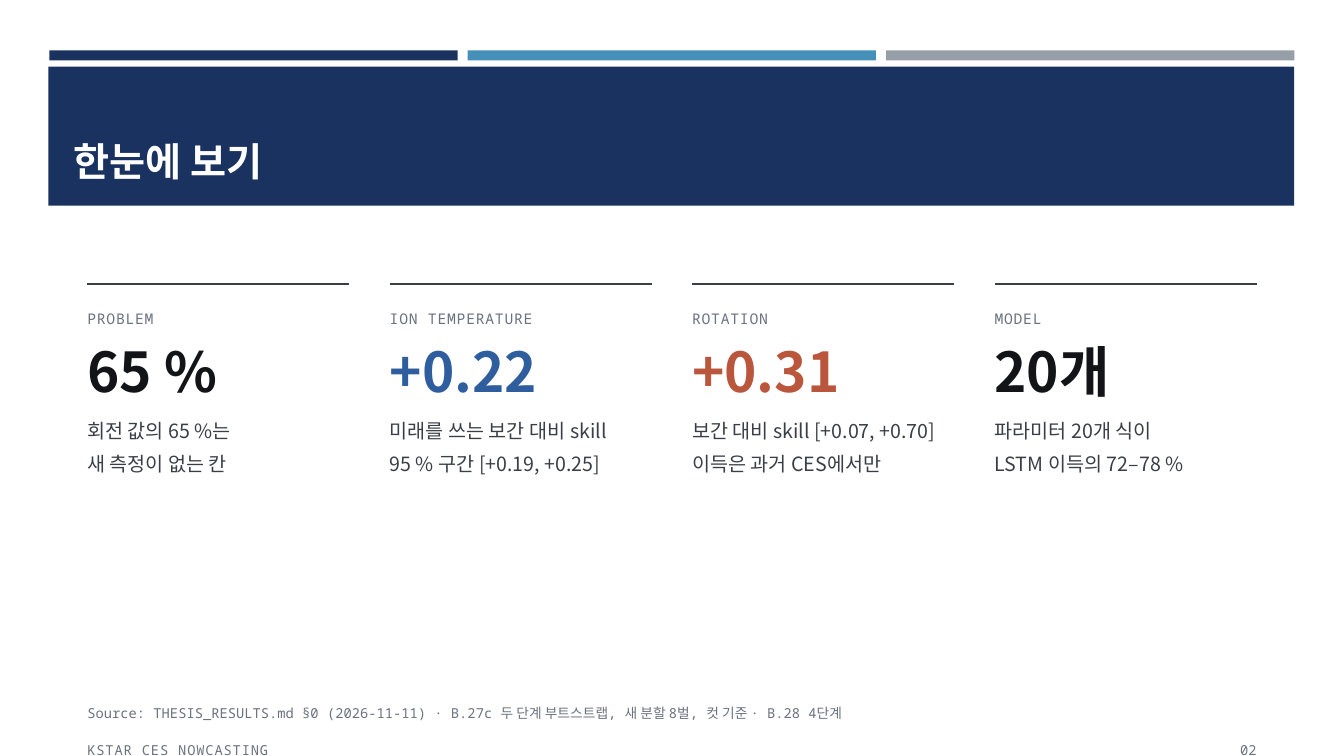
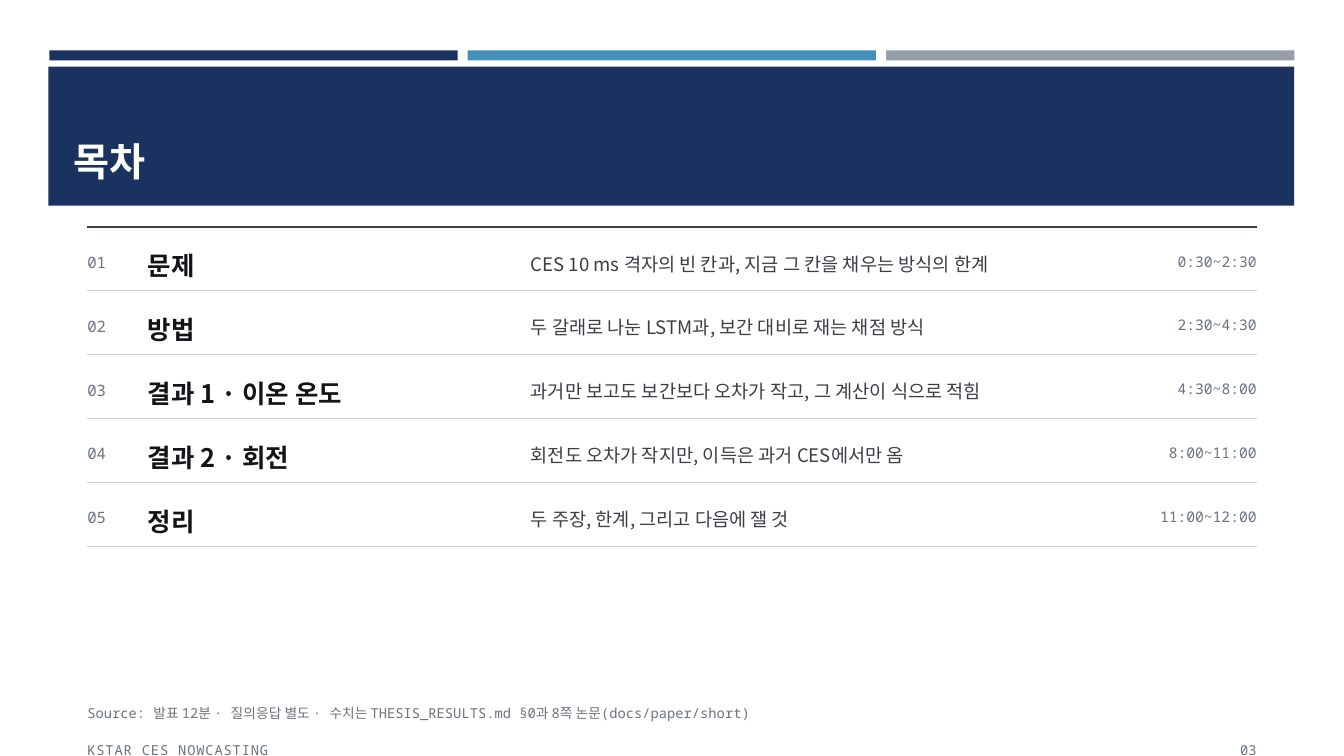
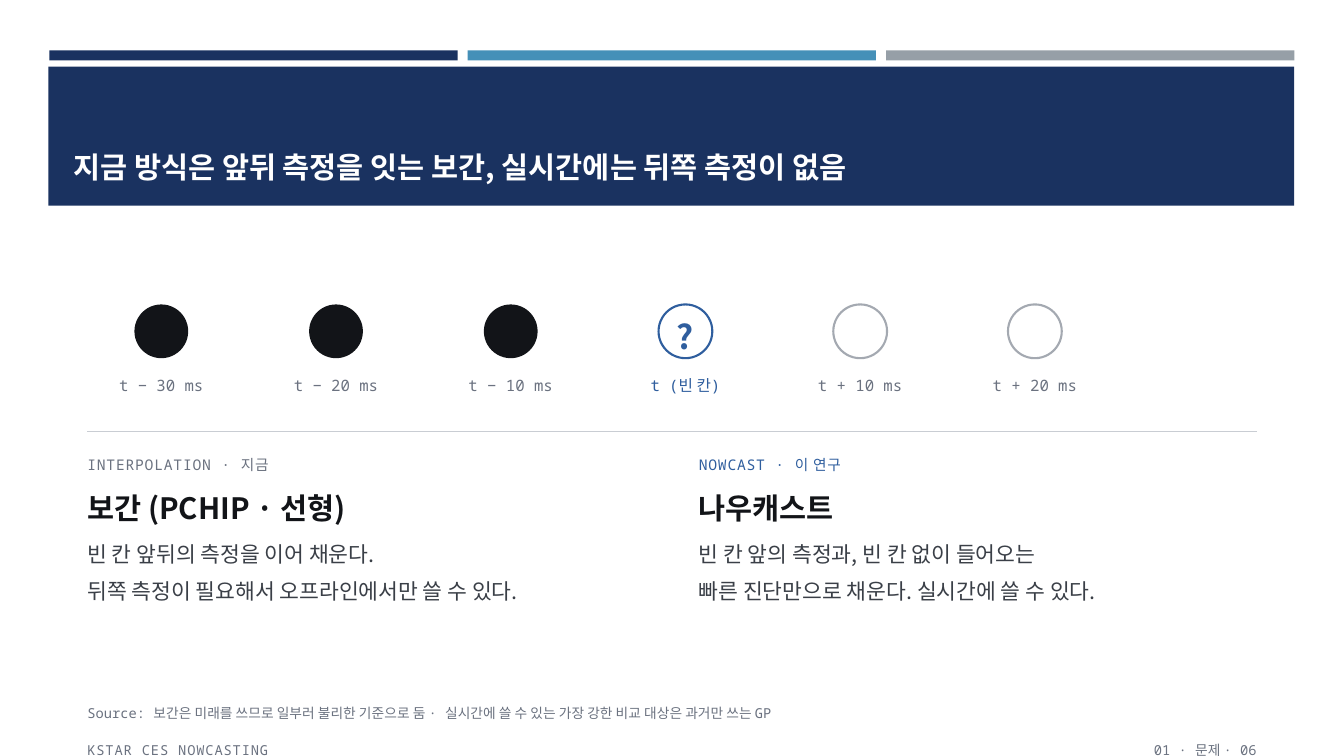
from collections import namedtuple

from lxml import etree
from pptx import Presentation
from pptx.dml.color import RGBColor
from pptx.enum.shapes import MSO_CONNECTOR, MSO_SHAPE
from pptx.enum.text import MSO_ANCHOR, MSO_AUTO_SIZE, PP_ALIGN
from pptx.oxml.ns import qn
from pptx.util import Inches, Pt

RECTANGLE, ELLIPSE = MSO_SHAPE.RECTANGLE, MSO_SHAPE.OVAL
STRAIGHT = MSO_CONNECTOR.STRAIGHT
LEFT, CENTER, RIGHT = PP_ALIGN.LEFT, PP_ALIGN.CENTER, PP_ALIGN.RIGHT
TOP, MIDDLE, BOTTOM = MSO_ANCHOR.TOP, MSO_ANCHOR.MIDDLE, MSO_ANCHOR.BOTTOM
NO_AUTOFIT = MSO_AUTO_SIZE.NONE

NAVY = RGBColor(0x1A, 0x32, 0x60)
SKY = RGBColor(0x45, 0x90, 0xB8)
SILVER = RGBColor(0x96, 0x9F, 0xA7)
WHITE = RGBColor(0xFF, 0xFF, 0xFF)
INK = RGBColor(0x12, 0x14, 0x18)
SLATE = RGBColor(0x3A, 0x3F, 0x47)
MUTED = RGBColor(0x6B, 0x72, 0x80)
RULE = RGBColor(0xC9, 0xCD, 0xD3)
OUTLINE = RGBColor(0xA4, 0xA9, 0xB1)
BLUE = RGBColor(0x2F, 0x5E, 0x9E)
RUST = RGBColor(0xB9, 0x56, 0x3C)

SANS, MONO = "Noto Sans CJK KR", "Noto Sans Mono"
WIDTH, HEIGHT = 13.333, 7.5
MARGIN = WIDTH * 0.065
CONTENT_WIDTH = WIDTH - 2 * MARGIN

Box = namedtuple("Box", "left top width height")
Style = namedtuple("Style", "font size color bold line_spacing tracking",
                   defaults=(False, 1.25, 0))

TITLE = Style(SANS, 28, WHITE, True, None)
LONG_TITLE = TITLE._replace(size=21)
EYEBROW = Style(MONO, 10.5, MUTED, tracking=0.6)
FIGURE = Style(SANS, 39.2, INK, True, None)
FIGURE_NOTE = Style(SANS, 14, SLATE, line_spacing=1.4)
FOOTNOTE = Style(MONO, 9.8, MUTED)
RUNNING_HEAD = FOOTNOTE._replace(tracking=0.6)
LABEL = Style(MONO, 11.2, MUTED)
SECTION = Style(SANS, 18.2, INK, True)
SUMMARY = Style(SANS, 13.3, SLATE)
CLOCK = Style(MONO, 10.5, MUTED)
QUESTION = Style(SANS, 23.8, BLUE, True)
METHOD = Style(SANS, 21, INK, True)
METHOD_NOTE = Style(SANS, 15.4, SLATE, line_spacing=1.45)


def set_attributes(target, values):
    for name, value in values.items():
        setattr(target, name, value)


def inches(box):
    return [Inches(length) for length in box]


def write_lines(text_frame, lines, style, alignment):
    for index, line in enumerate(lines):
        paragraph = text_frame.paragraphs[0] if index == 0 else text_frame.add_paragraph()
        paragraph.alignment = alignment
        if style.line_spacing:
            paragraph.line_spacing = style.line_spacing
        run = paragraph.add_run()
        run.text = line
        set_attributes(run.font, {"name": style.font, "size": Pt(style.size),
                                  "bold": style.bold})
        run.font.color.rgb = style.color
        properties = run._r.get_or_add_rPr()
        etree.SubElement(properties, qn("a:ea")).set("typeface", SANS)
        if style.tracking:
            properties.set("spc", str(round(style.tracking * 100)))


def add_text(slide, box, text, style, alignment=LEFT, anchor=TOP):
    text_frame = slide.shapes.add_textbox(*inches(box)).text_frame
    set_attributes(text_frame, {
        "word_wrap": True, "vertical_anchor": anchor, "margin_left": 0,
        "margin_top": 0, "margin_right": 0, "margin_bottom": 0})
    write_lines(text_frame, text.split("\n"), style, alignment)


def add_shape(slide, kind, box, fill, line=None):
    shape = slide.shapes.add_shape(kind, *inches(box))
    shape.shadow.inherit = False
    shape.fill.solid()
    shape.fill.fore_color.rgb = fill
    if line is None:
        shape.line.fill.background()
    else:
        shape.line.color.rgb = line
        shape.line.width = Pt(1.5)
    return shape


def add_rule(slide, left, top, width, color=RULE, weight=1):
    rule = slide.shapes.add_connector(
        STRAIGHT, *inches((left, top, left + width, top)))
    rule.line.color.rgb = color
    rule.line.width = Pt(weight)
    etree.SubElement(rule._element.spPr, qn("a:effectLst"))


def add_bands_to_layout(slide, layout):
    band_width, gap = 4.05, 0.1
    bands = [(Box(0.49 + index * (band_width + gap), 0.5, band_width, 0.1), color)
             for index, color in enumerate((NAVY, SKY, SILVER))]
    bands.append((Box(0.48, 0.66, 12.36, 1.38), NAVY))
    for index, (box, color) in enumerate(bands):
        band = add_shape(slide, RECTANGLE, box, color)
        layout.shapes.element.insert(2 + index, band._element)


def add_titled_slide(presentation, layout, title, style, source, page):
    slide = presentation.slides.add_slide(layout)
    placeholder = slide.shapes.title
    set_attributes(placeholder, dict(zip(
        Box._fields, inches((0.63, 0.8, 12.06, 1.08)))))
    set_attributes(placeholder.text_frame, {
        "word_wrap": True, "auto_size": NO_AUTOFIT, "vertical_anchor": BOTTOM})
    write_lines(placeholder.text_frame, [title], style, LEFT)
    add_footer(slide, Box(MARGIN, 6.95, CONTENT_WIDTH, 0.57), source, page)
    return slide


def add_footer(slide, box, source, page):
    half = WIDTH * 0.4
    top = box.top + 0.37
    add_text(slide, box._replace(height=0.27), "Source: " + source, FOOTNOTE)
    add_text(slide, Box(box.left, top, half, 0.2), "KSTAR CES NOWCASTING", RUNNING_HEAD)
    add_text(slide, Box(box.left + box.width - half, top, half, 0.2), page,
             FOOTNOTE, RIGHT)


def add_figures(slide, box, figures):
    gap = 0.4
    width = (box.width + gap) / len(figures) - gap
    for index, (eyebrow, value, color, note) in enumerate(figures):
        left = box.left + index * (width + gap)
        add_rule(slide, left, box.top, width, SLATE, 1.25)
        parts = ((0.21, 0.23, eyebrow, EYEBROW),
                 (0.53, 0.87, value, FIGURE._replace(color=color)),
                 (1.24, 1.2, note, FIGURE_NOTE))
        for offset, height, text, style in parts:
            add_text(slide, Box(left, box.top + offset, width, height), text, style)


def add_agenda(slide, box, sections):
    row_height = box.height / len(sections)
    columns = ((0, 0.21, 0.53, 0.33, LABEL, LEFT),
               (0.6, 0.16, 3.73, 0.4, SECTION, LEFT),
               (4.4, 0.2, 5.73, 0.4, SUMMARY, LEFT),
               (box.width - 1.6, 0.21, 1.6, 0.33, CLOCK, RIGHT))
    add_rule(slide, box.left, box.top, box.width, SLATE, 1.25)
    for index, section in enumerate(sections):
        top = box.top + index * row_height
        cells = (f"{index + 1:02d}", *section)
        for text, (left, offset, width, height, style, alignment) in zip(cells, columns):
            add_text(slide, Box(box.left + left, top + offset, width, height),
                     text, style, alignment)
        add_rule(slide, box.left, top + row_height, box.width)


def add_timeline(slide, box, moments):
    pitch = box.width / len(moments)
    diameter, label_width = WIDTH * 0.04, WIDTH * 0.12
    for index, (label, fill, line, color, mark) in enumerate(moments):
        center = box.left + (index + 0.5) * pitch
        circle = Box(center - diameter / 2, box.top, diameter, diameter)
        add_shape(slide, ELLIPSE, circle, fill, line)
        if mark:
            add_text(slide, circle, mark, QUESTION, CENTER, MIDDLE)
        add_text(slide, Box(center - label_width / 2, box.top + 0.66, label_width, 0.33),
                 label, LABEL._replace(color=color), CENTER)


def add_comparison(slide, box, methods):
    gap = WIDTH * 0.04
    width = (box.width + gap) / len(methods) - gap
    add_rule(slide, box.left, box.top, box.width)
    for index, (eyebrow, color, name, note) in enumerate(methods):
        left = box.left + index * (width + gap)
        parts = ((0.2, 0.23, eyebrow, EYEBROW._replace(color=color)),
                 (0.5, 0.4, name, METHOD),
                 (0.97, 1.07, note, METHOD_NOTE))
        for offset, height, text, style in parts:
            add_text(slide, Box(left, box.top + offset, width, height), text, style)


def main():
    presentation = Presentation()
    presentation.slide_width = Inches(WIDTH)
    presentation.slide_height = Inches(HEIGHT)
    layout = presentation.slide_layouts[5]

    overview = add_titled_slide(
        presentation, layout, "한눈에 보기", TITLE,
        "THESIS_RESULTS.md §0 (2026-11-11) · B.27c 두 단계 부트스트랩, "
        "새 분할 8벌, 컷 기준 · B.28 4단계", "02")
    add_bands_to_layout(overview, layout)
    add_figures(overview, Box(MARGIN, 2.82, CONTENT_WIDTH, 2.44), (
        ("PROBLEM", "65 %", INK, "회전 값의 65 %는\n새 측정이 없는 칸"),
        ("ION TEMPERATURE", "+0.22", BLUE,
         "미래를 쓰는 보간 대비 skill\n95 % 구간 [+0.19, +0.25]"),
        ("ROTATION", "+0.31", RUST,
         "보간 대비 skill [+0.07, +0.70]\n이득은 과거 CES에서만"),
        ("MODEL", "20개", INK, "파라미터 20개 식이\nLSTM 이득의 72–78 %")))

    agenda = add_titled_slide(
        presentation, layout, "목차", TITLE,
        "발표 12분 · 질의응답 별도 · 수치는 THESIS_RESULTS.md §0과 "
        "8쪽 논문(docs/paper/short)", "03")
    add_agenda(agenda, Box(MARGIN, 2.25, CONTENT_WIDTH, 3.17), (
        ("문제", "CES 10 ms 격자의 빈 칸과, 지금 그 칸을 채우는 방식의 한계", "0:30~2:30"),
        ("방법", "두 갈래로 나눈 LSTM과, 보간 대비로 재는 채점 방식", "2:30~4:30"),
        ("결과 1 · 이온 온도", "과거만 보고도 보간보다 오차가 작고, 그 계산이 식으로 적힘",
         "4:30~8:00"),
        ("결과 2 · 회전", "회전도 오차가 작지만, 이득은 과거 CES에서만 옴", "8:00~11:00"),
        ("정리", "두 주장, 한계, 그리고 다음에 잴 것", "11:00~12:00")))

    problem = add_titled_slide(
        presentation, layout,
        "지금 방식은 앞뒤 측정을 잇는 보간, 실시간에는 뒤쪽 측정이 없음", LONG_TITLE,
        "보간은 미래를 쓰므로 일부러 불리한 기준으로 둠 · 실시간에 쓸 수 있는 "
        "가장 강한 비교 대상은 과거만 쓰는 GP", "01 · 문제 · 06")
    measured = (INK, None, MUTED, "")
    upcoming = (WHITE, OUTLINE, MUTED, "")
    add_timeline(problem, Box(WIDTH * 0.055, 3.02, WIDTH * 0.78, 0.99), (
        ("t − 30 ms", *measured),
        ("t − 20 ms", *measured),
        ("t − 10 ms", *measured),
        ("t (빈 칸)", WHITE, BLUE, BLUE, "?"),
        ("t + 10 ms", *upcoming),
        ("t + 20 ms", *upcoming)))
    add_comparison(problem, Box(MARGIN, 4.28, CONTENT_WIDTH, 2.04), (
        ("INTERPOLATION · 지금", MUTED, "보간 (PCHIP · 선형)",
         "빈 칸 앞뒤의 측정을 이어 채운다.\n"
         "뒤쪽 측정이 필요해서 오프라인에서만 쓸 수 있다."),
        ("NOWCAST · 이 연구", BLUE, "나우캐스트",
         "빈 칸 앞의 측정과, 빈 칸 없이 들어오는\n"
         "빠른 진단만으로 채운다. 실시간에 쓸 수 있다.")))

    presentation.save("out.pptx")


if __name__ == "__main__":
    main()
